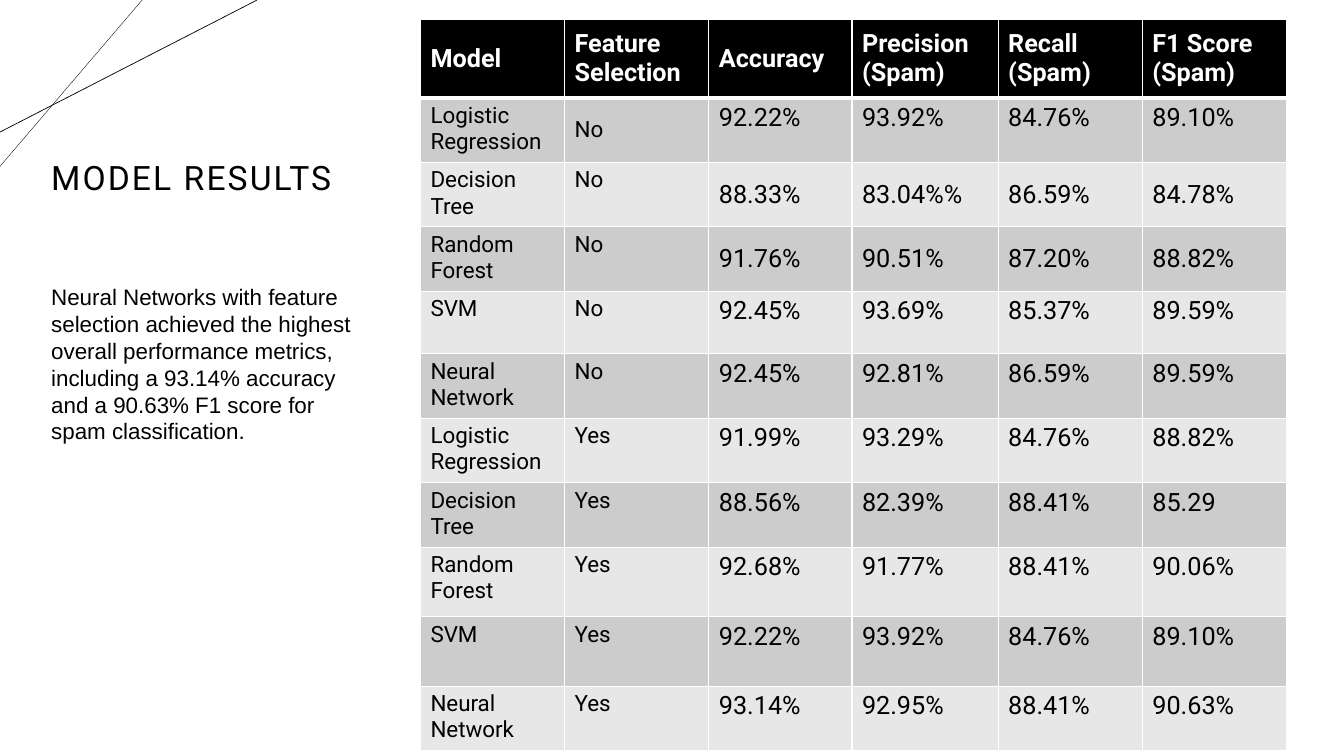
from lxml.etree import SubElement
from pptx import Presentation
from pptx.dml.color import RGBColor
from pptx.enum.shapes import MSO_CONNECTOR
from pptx.enum.text import MSO_ANCHOR
from pptx.oxml import parse_xml
from pptx.oxml.ns import nsdecls, qn
from pptx.util import Inches, Pt

TITLE = "MODEL RESULTS"
SUMMARY = (
    "Neural Networks with feature selection achieved the highest overall performance "
    "metrics, including a 93.14% accuracy and a 90.63% F1 score for spam classification."
)
RESULTS = [
    ("Model", "Feature Selection", "Accuracy", "Precision (Spam)", "Recall (Spam)", "F1 Score (Spam)"),
    ("Logistic Regression", "No", "92.22%", "93.92%", "84.76%", "89.10%"),
    ("Decision Tree", "No", "88.33%", "83.04%%", "86.59%", "84.78%"),
    ("Random Forest", "No", "91.76%", "90.51%", "87.20%", "88.82%"),
    ("SVM", "No", "92.45%", "93.69%", "85.37%", "89.59%"),
    ("Neural Network", "No", "92.45%", "92.81%", "86.59%", "89.59%"),
    ("Logistic Regression", "Yes", "91.99%", "93.29%", "84.76%", "88.82%"),
    ("Decision Tree", "Yes", "88.56%", "82.39%", "88.41%", "85.29"),
    ("Random Forest", "Yes", "92.68%", "91.77%", "88.41%", "90.06%"),
    ("SVM", "Yes", "92.22%", "93.92%", "84.76%", "89.10%"),
    ("Neural Network", "Yes", "93.14%", "92.95%", "88.41%", "90.63%"),
]
COL_WIDTHS = [1.43, 1.43, 1.42, 1.45, 1.43, 1.43]
ROW_HEIGHTS = [0.78, 0.64, 0.64, 0.64, 0.62, 0.64, 0.64, 0.64, 0.69, 0.69, 0.64]
TABLE_LEFT, TABLE_TOP = 4.17, 0.19
CORNER_LINES = [(1.41, 0, 0, 1.65, 0.25), (2.55, 0, 0, 1.31, 0.5)]  # x1, y1, x2, y2, points
BLACK, WHITE = "000000", "FFFFFF"
BANDS = ["E7E7E7", "CCCCCC"]


def rgb(color):
    return RGBColor.from_string(color)


def style_run(r, font, size, color=BLACK, bold=False):
    r.font.name, r.font.size, r.font.bold = font, Pt(size), bold
    r.font.color.rgb = rgb(color)


def add_text(slide, text, box, font, size, anchor):
    tf = slide.shapes.add_textbox(*map(Inches, box)).text_frame
    tf.word_wrap = True
    tf.vertical_anchor = anchor
    tf.text = text
    p = tf.paragraphs[0]
    style_run(p.runs[0], font, size)
    return p


def set_borders(cell, top, bottom):
    """White cell borders; top and bottom are widths in points."""
    tcPr = cell._tc.get_or_add_tcPr()
    for i, (side, width) in enumerate([("L", 1), ("R", 1), ("T", top), ("B", bottom)]):
        tcPr.insert(i, parse_xml(
            f'<a:ln{side} {nsdecls("a")} w="{Pt(width)}"><a:solidFill>'
            f'<a:srgbClr val="{WHITE}"/></a:solidFill></a:ln{side}>'))


def is_middle(row, col):
    return row == 0 or (row, col) == (1, 1) or (row in (2, 3) and col >= 2)


def add_results(slide):
    table = slide.shapes.add_table(
        len(RESULTS), len(COL_WIDTHS), Inches(TABLE_LEFT), Inches(TABLE_TOP),
        Inches(sum(COL_WIDTHS)), Inches(sum(ROW_HEIGHTS))).table
    for column, width in zip(table.columns, COL_WIDTHS):
        column.width = Inches(width)
    for row, height in zip(table.rows, ROW_HEIGHTS):
        row.height = Inches(height)
    for i, values in enumerate(RESULTS):
        header = i == 0
        for j, value in enumerate(values):
            cell = table.cell(i, j)
            cell.text = value
            cell.vertical_anchor = MSO_ANCHOR.MIDDLE if is_middle(i, j) else MSO_ANCHOR.TOP
            cell.fill.solid()
            cell.fill.fore_color.rgb = rgb(BLACK if header else BANDS[i % 2])
            set_borders(cell, top=3 if i == 1 else 1, bottom=3 if header else 1)
            size = 18 if header or j >= 2 else 16
            style_run(cell.text_frame.paragraphs[0].runs[0], "Roboto", size,
                      WHITE if header else BLACK, header)


def main():
    prs = Presentation()
    prs.slide_width, prs.slide_height = Inches(13.33), Inches(7.5)
    slide = prs.slides.add_slide(prs.slide_layouts[6])

    for *ends, width in CORNER_LINES:
        line = slide.shapes.add_connector(MSO_CONNECTOR.STRAIGHT, *map(Inches, ends))
        line.line.color.rgb = rgb(BLACK)
        line.line.width = Pt(width)
        SubElement(line._element.spPr, qn("a:effectLst"))

    p = add_text(slide, TITLE, (0.41, 0.73, 3.55, 2.1), "Roboto", 24, MSO_ANCHOR.MIDDLE)
    p.line_spacing = 0.9
    p.runs[0].font._element.set("spc", "150")

    add_results(slide)
    add_text(slide, SUMMARY, (0.41, 2.76, 3.26, 1.99), "Arial", 16, MSO_ANCHOR.TOP)
    prs.save("out.pptx")


if __name__ == "__main__":
    main()
